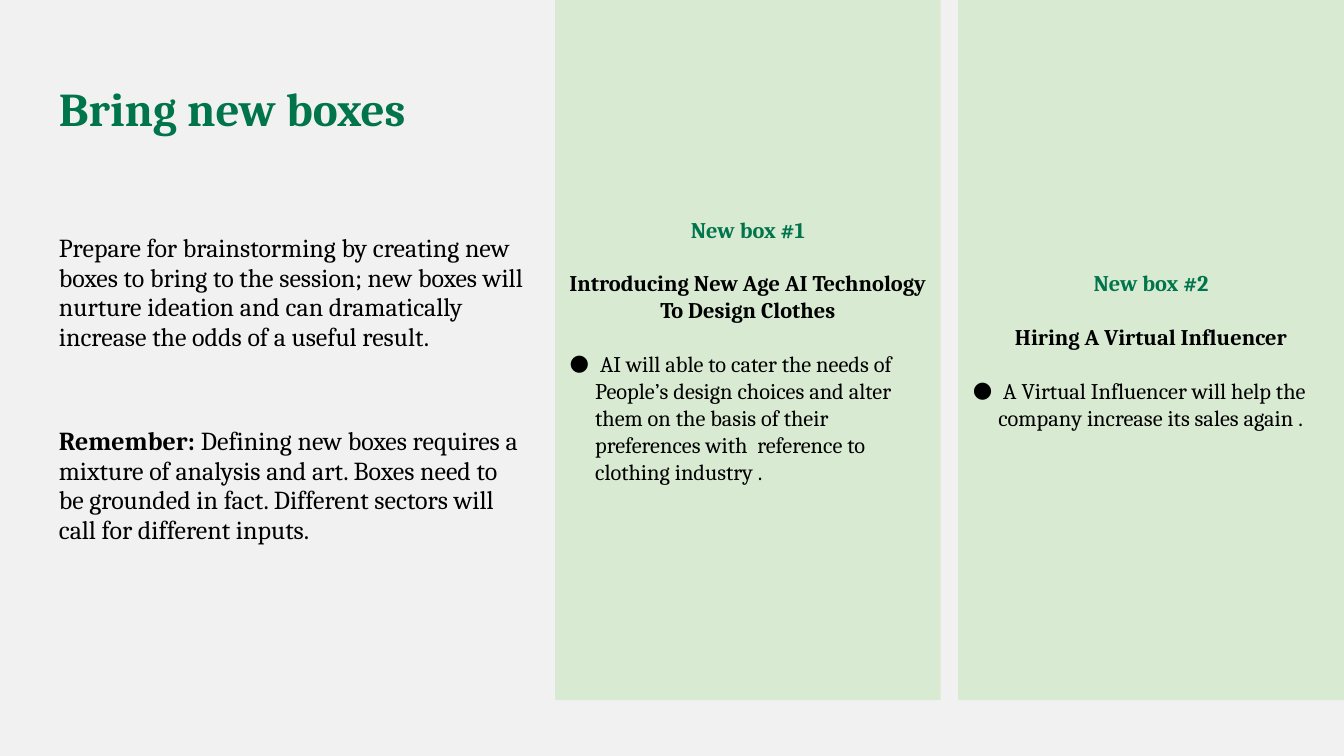
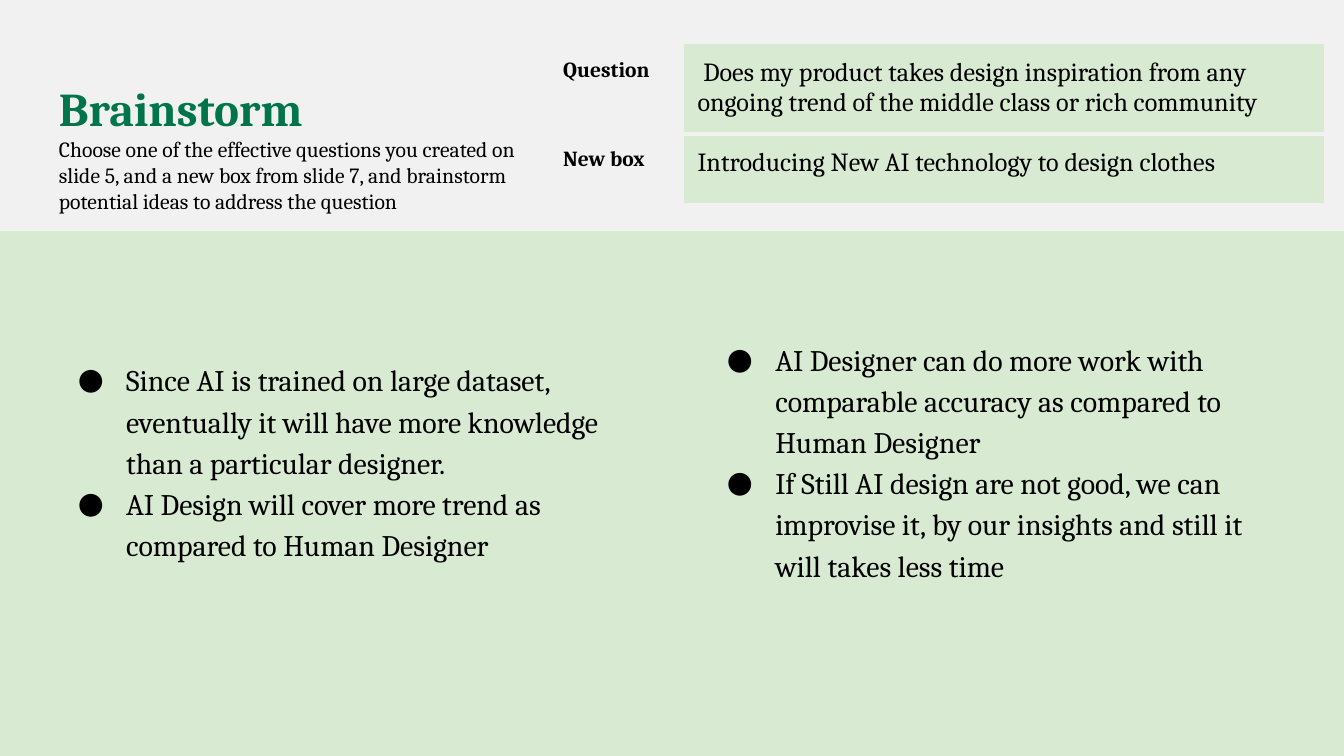
from dataclasses import dataclass

import lxml.etree
import pptx
import pptx.dml.color
import pptx.enum.shapes
import pptx.enum.text
import pptx.oxml
import pptx.oxml.ns
import pptx.util

Inches = pptx.util.Inches
Pt = pptx.util.Pt
Anchor = pptx.enum.text.MSO_ANCHOR
Align = pptx.enum.text.PP_ALIGN


@dataclass(frozen=True)
class Theme:
    font: str = "Cambria"
    page: str = "F1F1F1"
    panel: str = "D9EAD3"
    accent: str = "00754B"
    ink: str = "000000"
    title: float = 25.2
    ideas: float = 16
    answer: float = 14
    body: float = 13.9
    card: float = 12
    subtitle: float = 11.6
    label: float = 11.5
    inset: float = 0.1
    rule: float = 3


THEME = Theme()


def rgb(colour):
    return pptx.dml.color.RGBColor.from_string(colour)


def style(font, size, colour=THEME.ink, bold=False):
    font.name = THEME.font
    font.size = Pt(size)
    font.bold = bold
    font.color.rgb = rgb(colour)


def set_insets(holder, bottom=THEME.inset):
    holder.margin_left = holder.margin_right = holder.margin_top = Inches(THEME.inset)
    holder.margin_bottom = Inches(bottom)


def write(frame, text, size, colour=THEME.ink, bold=False, align=Align.LEFT):
    first = frame.paragraphs[0]
    paragraph = frame.add_paragraph() if first.runs else first
    paragraph.text = text
    paragraph.alignment = align
    style(paragraph.font, size, colour, bold)
    return paragraph


def add_bullet(paragraph, indent, hanging):
    properties = paragraph._p.get_or_add_pPr()
    properties.set("marL", str(Inches(indent)))
    properties.set("indent", str(Inches(-hanging)))
    namespace = pptx.oxml.ns.nsdecls("a")
    marks = (
        f'<a:buClr {namespace}><a:srgbClr val="{THEME.ink}"/></a:buClr>',
        f'<a:buFont {namespace} typeface="{THEME.font}"/>',
        f'<a:buChar {namespace} char="●"/>',
    )
    for position, mark in enumerate(marks):
        properties.insert(position, pptx.oxml.parse_xml(mark))


def add_text(slide, box, anchor=Anchor.TOP):
    frame = slide.shapes.add_textbox(*map(Inches, box)).text_frame
    frame.word_wrap = True
    frame.vertical_anchor = anchor
    set_insets(frame)
    return frame


def add_panel(slide, box):
    panel = slide.shapes.add_shape(
        pptx.enum.shapes.MSO_SHAPE.RECTANGLE, *map(Inches, box))
    panel.shadow.inherit = False
    panel.fill.solid()
    panel.fill.fore_color.rgb = rgb(THEME.panel)
    panel.line.fill.background()
    return panel


def add_title(slide, box, title, subtitle=None):
    frame = add_text(slide, box)
    write(frame, title, THEME.title, THEME.accent, True)
    if subtitle:
        write(frame, subtitle, THEME.subtitle)


def add_advice(slide, box, advice, lead, reminder):
    frame = add_text(slide, box, Anchor.MIDDLE)
    opening = write(frame, advice, THEME.body)
    opening.line_spacing = 0.95
    opening.space_after = Pt(40)
    closing = frame.add_paragraph()
    closing.line_spacing = 0.95
    for text, bold in ((lead, True), (reminder, False)):
        run = closing.add_run()
        run.text = text
        style(run.font, THEME.body, bold=bold)


def add_box_card(slide, box, label, heading, detail):
    frame = add_panel(slide, box).text_frame
    frame.word_wrap = True
    frame.vertical_anchor = Anchor.MIDDLE
    set_insets(frame)
    for text, colour in ((label, THEME.accent), (heading, THEME.ink)):
        line = write(frame, text, THEME.card, colour, True, Align.CENTER)
        line.space_after = Pt(14.4)
    add_bullet(write(frame, detail, THEME.card), 0.2, 0.19)


def add_ideas(slide, box, ideas):
    frame = add_text(slide, box, Anchor.MIDDLE)
    set_insets(frame, bottom=0.41)
    for idea in ideas:
        paragraph = write(frame, idea, THEME.ideas)
        add_bullet(paragraph, 0.5, 0.36)
        paragraph.line_spacing = 1.15


def set_borders(cell, ruled_sides):
    properties = cell._tc.get_or_add_tcPr()
    for position, side in enumerate("LRTB"):
        border = lxml.etree.Element(pptx.oxml.ns.qn(f"a:ln{side}"))
        if side in ruled_sides:
            border.set("w", str(Pt(THEME.rule)))
            fill = lxml.etree.SubElement(border, pptx.oxml.ns.qn("a:solidFill"))
            lxml.etree.SubElement(
                fill, pptx.oxml.ns.qn("a:srgbClr")).set("val", THEME.page)
        else:
            lxml.etree.SubElement(border, pptx.oxml.ns.qn("a:noFill"))
        properties.insert(position, border)


def add_brief(slide, box, entries):
    table = slide.shapes.add_table(len(entries), 2, *map(Inches, box)).table
    table.first_row = table.horz_banding = False
    label_width = 1
    table.columns[0].width = Inches(label_width)
    table.columns[1].width = Inches(box[2] - label_width)
    for row, (label, answer) in enumerate(entries):
        label_cell, answer_cell = table.cell(row, 0), table.cell(row, 1)
        label_cell.fill.background()
        answer_cell.fill.solid()
        answer_cell.fill.fore_color.rgb = rgb(THEME.panel)
        set_borders(label_cell, "")
        set_borders(answer_cell, "B" if row == 0 else "T")
        for cell in (label_cell, answer_cell):
            set_insets(cell)
        write(label_cell.text_frame, label, THEME.label, bold=True)
        write(answer_cell.text_frame, answer, THEME.answer)


def add_page(deck):
    slide = deck.slides.add_slide(deck.slide_layouts[6])
    slide.background.fill.solid()
    slide.background.fill.fore_color.rgb = rgb(THEME.page)
    return slide


def build_new_boxes(deck):
    slide = add_page(deck)
    add_title(slide, (0.34, 0.49, 9.32, 0.63), "Bring new boxes")
    add_advice(
        slide, (0.34, 1.26, 3.66, 3.28),
        "Prepare for brainstorming by creating new boxes to bring to the session; "
        "new boxes will nurture ideation and can dramatically increase the odds "
        "of a useful result.",
        "Remember:",
        " Defining new boxes requires a mixture of analysis and art. Boxes need to "
        "be grounded in fact. Different sectors will call for different inputs.")
    cards = (
        ("New box #1", "Introducing New Age AI Technology To Design Clothes",
         " AI will able to cater the needs of People’s design choices and alter "
         "them on the basis of their preferences with  reference to clothing "
         "industry ."),
        ("New box #2", "Hiring A Virtual Influencer",
         " A Virtual Influencer will help the company increase its sales again ."),
    )
    for column, card in enumerate(cards):
        add_box_card(slide, (4.13 + 3 * column, 0, 2.87, 5.21), *card)


def build_brainstorm(deck):
    slide = add_page(deck)
    add_panel(slide, (0, 1.72, 10, 3.91))
    idea_columns = (
        ("Since AI is trained on large dataset, eventually it will have more "
         "knowledge than a particular designer.",
         "AI Design will cover more trend as compared to Human Designer"),
        ("AI Designer can do more work with comparable accuracy as compared to "
         "Human Designer",
         "If Still AI design are not good, we can improvise it, by our insights "
         "and still it will takes less time"),
    )
    for column, ideas in enumerate(idea_columns):
        add_ideas(slide, (0.34 + 4.83 * column, 2.15, 4.41, 2.85), ideas)
    add_brief(slide, (4.09, 0.33, 5.76, 1.02), (
        ("Question", " Does my product takes design inspiration from any ongoing "
                     "trend of the middle class or rich community"),
        ("New box", "Introducing New AI technology to design clothes"),
    ))
    add_title(
        slide, (0.34, 0.49, 3.8, 0.63), "Brainstorm",
        "Choose one of the effective questions you created on slide 5, and a new "
        "box from slide 7, and brainstorm potential ideas to address the question")


def main():
    deck = pptx.Presentation()
    deck.slide_width = Inches(10)
    deck.slide_height = deck.slide_width * 9 // 16
    build_new_boxes(deck)
    build_brainstorm(deck)
    deck.save("out.pptx")


if __name__ == "__main__":
    main()
